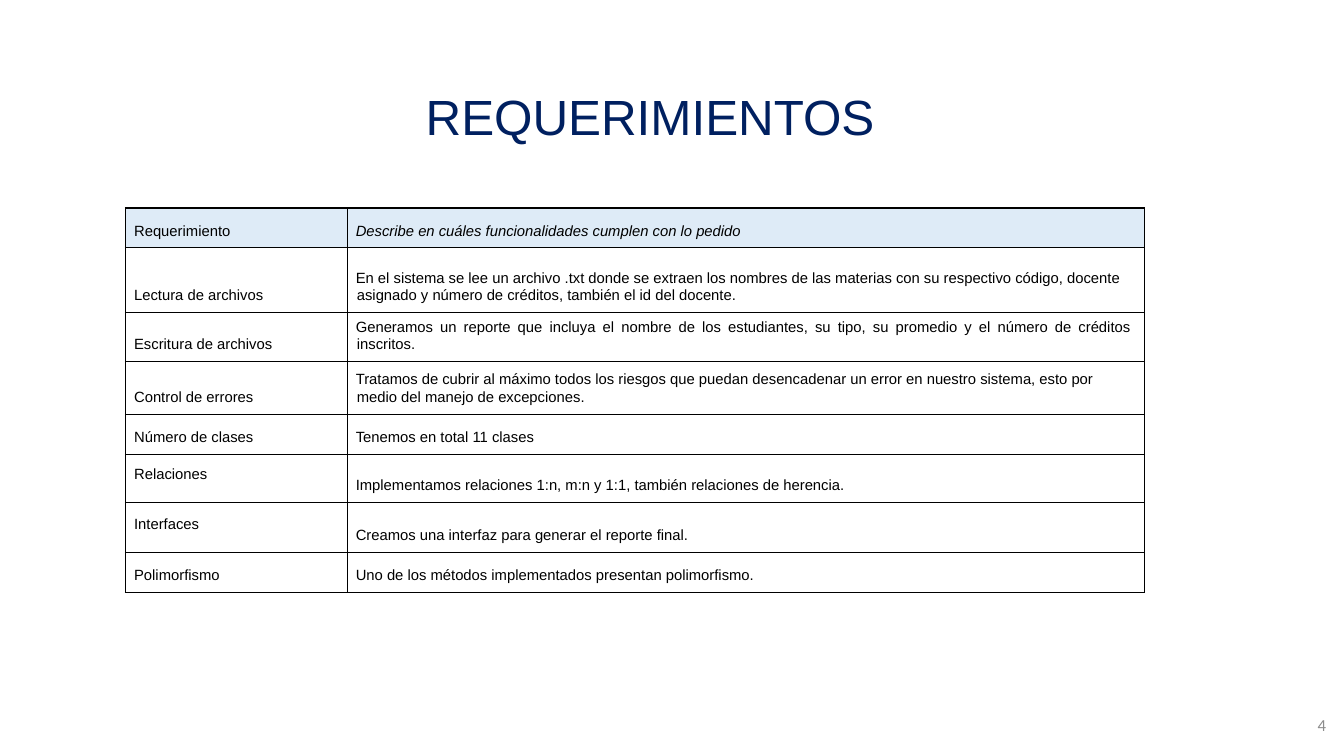
from dataclasses import dataclass

from lxml import etree
from pptx import Presentation
from pptx.dml.color import RGBColor
from pptx.enum.text import MSO_ANCHOR, MSO_AUTO_SIZE, PP_ALIGN
from pptx.oxml.ns import qn
from pptx.util import Cm, Pt

LEFT, CENTER, RIGHT, JUSTIFY = (
    PP_ALIGN.LEFT, PP_ALIGN.CENTER, PP_ALIGN.RIGHT, PP_ALIGN.JUSTIFY)
MIDDLE, BOTTOM = MSO_ANCHOR.MIDDLE, MSO_ANCHOR.BOTTOM
NO_AUTOFIT = MSO_AUTO_SIZE.NONE
TITLE_ONLY = 5


@dataclass(frozen=True)
class Theme:
    font: str = "Arial"
    number_font: str = "Calibri"
    title_color: str = "002060"
    text_color: str = "000000"
    number_color: str = "8C8C8C"
    header_fill: str = "DEEBF7"
    body_fill: str = "FFFFFF"
    border_color: str = "000000"
    border_width: float = 1
    title_size: float = 40
    text_size: float = 12
    number_size: float = 13.6


THEME = Theme()

COLUMN_WIDTHS = (6.35, 22.76)
# Row height, requirement, description, requirement anchor, description alignment
REQUIREMENTS = (
    (1.14, "Requerimiento",
     "Describe en cuáles funcionalidades cumplen con lo pedido", BOTTOM, LEFT),
    (1.85, "Lectura de archivos",
     "En el sistema se lee un archivo .txt donde se extraen los nombres de las "
     "materias con su respectivo código, docente asignado y número de créditos, "
     "también el id del docente.", BOTTOM, LEFT),
    (1.4, "Escritura de archivos",
     "Generamos un reporte que incluya el nombre de los estudiantes, su tipo, "
     "su promedio y el número de créditos inscritos. ", BOTTOM, JUSTIFY),
    (1.5, "Control de errores",
     "Tratamos de cubrir al máximo todos los riesgos que puedan desencadenar un "
     "error en nuestro sistema, esto por medio del manejo de excepciones.",
     BOTTOM, LEFT),
    (1.14, "Número de clases", "Tenemos en total 11 clases", BOTTOM, LEFT),
    (1.37, "Relaciones",
     "Implementamos relaciones 1:n, m:n y 1:1, también relaciones de herencia.",
     MIDDLE, LEFT),
    (1.45, "Interfaces",
     "Creamos una interfaz para generar el reporte final.", MIDDLE, JUSTIFY),
    (1.14, "Polimorfismo",
     "Uno de los métodos implementados presentan polimorfismo.", BOTTOM, LEFT),
)


def apply_format(target, values):
    for attribute, value in values.items():
        setattr(target, attribute, value)


def write_text(frame, text, font, size, color, paragraph_format, italic=False):
    paragraph = frame.paragraphs[0]
    apply_format(paragraph, paragraph_format)
    run = paragraph.add_run()
    run.text = text
    apply_format(run.font, {"name": font, "size": Pt(size),
                            "bold": False, "italic": italic})
    run.font.color.rgb = RGBColor.from_string(color)
    return paragraph


def add_title(slide, text):
    title = slide.shapes.title
    apply_format(title, {"left": Cm(6.68), "top": Cm(1.88),
                         "width": Cm(23.77), "height": Cm(3.05)})
    apply_format(title.text_frame, {
        "word_wrap": True, "auto_size": NO_AUTOFIT, "vertical_anchor": MIDDLE,
        "margin_left": Cm(0.28), "margin_right": Cm(0.28),
        "margin_top": Cm(0.15), "margin_bottom": Cm(0.15)})
    write_text(title.text_frame, text, THEME.font, THEME.title_size,
               THEME.title_color, {"alignment": CENTER, "line_spacing": 0.9})


def add_page_number(slide, text):
    number = slide.shapes.add_textbox(Cm(37.36), Cm(20.14), Cm(0.61), Cm(1.14))
    apply_format(number.text_frame, {
        "word_wrap": True, "vertical_anchor": MIDDLE,
        "margin_left": 0, "margin_right": Cm(0.1)})
    write_text(number.text_frame, text, THEME.number_font, THEME.number_size,
               THEME.number_color, {"alignment": RIGHT})


def set_borders(cell):
    properties = cell._tc.get_or_add_tcPr()
    for side in ("a:lnL", "a:lnR", "a:lnT", "a:lnB"):
        line = etree.SubElement(properties, qn(side),
                                w=str(Pt(THEME.border_width)))
        fill = etree.SubElement(line, qn("a:solidFill"))
        etree.SubElement(fill, qn("a:srgbClr"), val=THEME.border_color)


def format_cell(cell, text, fill, anchor, alignment, indent, italic):
    set_borders(cell)
    cell.fill.solid()
    cell.fill.fore_color.rgb = RGBColor.from_string(fill)
    apply_format(cell, {
        "vertical_anchor": anchor,
        "margin_left": Cm(0.23), "margin_right": Cm(0.37),
        "margin_top": Cm(0.03), "margin_bottom": Cm(0.25)})
    paragraph = write_text(
        cell.text_frame, text, THEME.font, THEME.text_size, THEME.text_color,
        {"alignment": alignment, "line_spacing": 1.07, "space_after": Pt(2.6)},
        italic)
    # Hanging indent
    properties = paragraph._p.get_or_add_pPr()
    properties.set("marL", str(Cm(indent)))
    properties.set("indent", str(Cm(-0.03)))


def add_requirements_table(slide):
    heights = [row[0] for row in REQUIREMENTS]
    table = slide.shapes.add_table(
        len(heights), len(COLUMN_WIDTHS), Cm(3.58), Cm(5.94),
        Cm(sum(COLUMN_WIDTHS)), Cm(sum(heights))).table
    apply_format(table, {"first_row": False, "horz_banding": False})
    for column, width in zip(table.columns, COLUMN_WIDTHS):
        column.width = Cm(width)
    for index, (height, requirement, description, anchor, alignment) in enumerate(
            REQUIREMENTS):
        table.rows[index].height = Cm(height)
        is_header = index == 0
        fill = THEME.header_fill if is_header else THEME.body_fill
        format_cell(table.cell(index, 0), requirement, fill, anchor, LEFT,
                    0.05, False)
        format_cell(table.cell(index, 1), description, fill, BOTTOM, alignment,
                    0.03, is_header)


def main():
    presentation = Presentation()
    apply_format(presentation, {"slide_width": Cm(38.38),
                                "slide_height": Cm(21.59)})
    slide = presentation.slides.add_slide(presentation.slide_layouts[TITLE_ONLY])
    add_page_number(slide, "4")
    add_requirements_table(slide)
    add_title(slide, "REQUERIMIENTOS")
    presentation.save("out.pptx")


if __name__ == "__main__":
    main()
